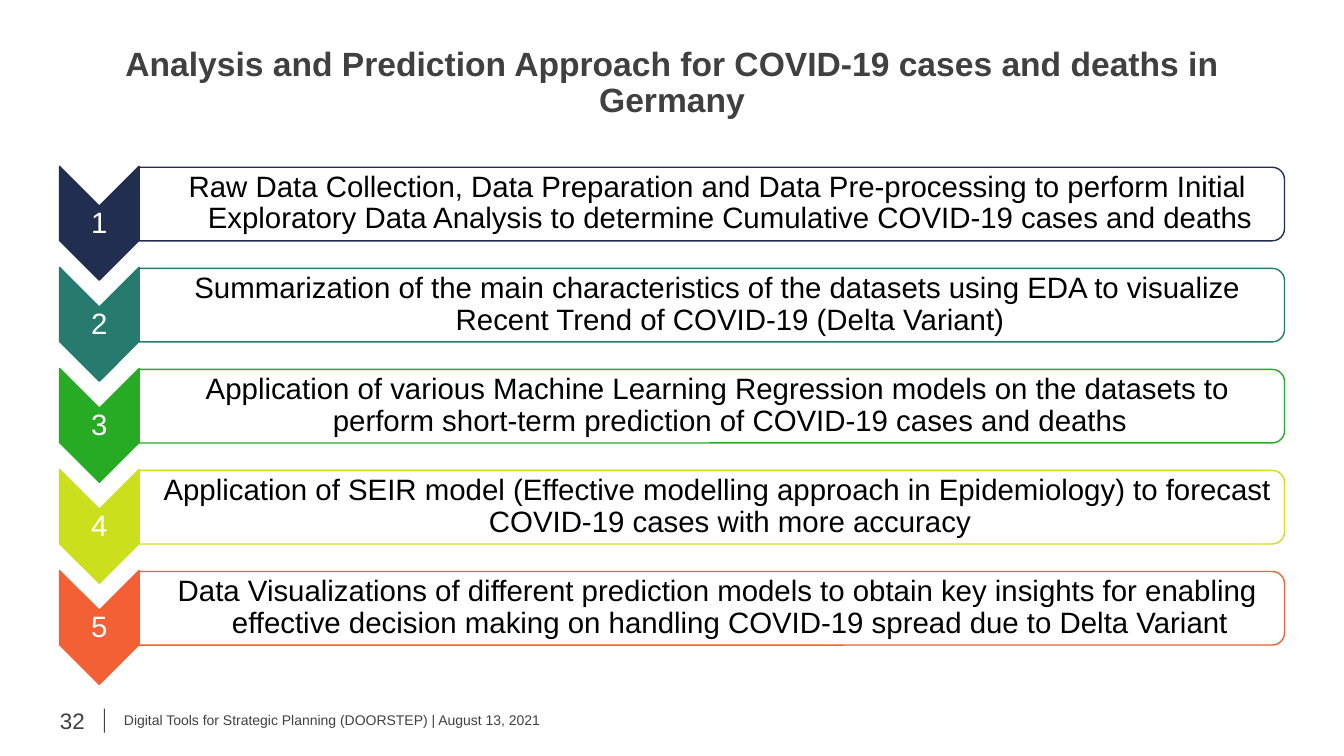
from pptx import Presentation
from pptx.dml.color import RGBColor
from pptx.enum.shapes import MSO_SHAPE
from pptx.enum.text import MSO_ANCHOR, MSO_AUTO_SIZE, PP_ALIGN
from pptx.oxml.ns import qn
from pptx.util import Inches, Pt
from lxml.etree import SubElement

GREY = "404040"
WHITE = "FFFFFF"
TITLE = "Analysis and Prediction Approach for COVID-19 cases and deaths in Germany"
FOOTER = "Digital Tools for Strategic Planning (DOORSTEP) | August 13, 2021"
STEPS = [
    ("222E50", "Raw Data Collection, Data Preparation and Data Pre-processing to perform Initial "
               "Exploratory Data Analysis to determine Cumulative COVID-19 cases and deaths"),
    ("267A6E", "Summarization of the main characteristics of the datasets using EDA to visualize "
               "Recent Trend of COVID-19 (Delta Variant)"),
    ("27AA24", "Application of various Machine Learning Regression models on the datasets to "
               "perform short-term prediction of COVID-19 cases and deaths"),
    ("CCDF1D", "Application of SEIR model (Effective modelling approach in Epidemiology) to "
               "forecast COVID-19 cases with more accuracy"),
    ("F46036", "Data Visualizations of different prediction models to obtain key insights for "
               "enabling effective decision making on handling COVID-19 spread due to Delta Variant"),
]


def rgb(color):
    """Turn a hex string into a colour."""
    return RGBColor.from_string(color)


def set_all(target, formats):
    """Set each format value on the target."""
    for key, value in formats.items():
        setattr(target, key, value)


def write(holder, text, size, color, align=PP_ALIGN.LEFT, spacing=1.0, bold=False,
          anchor=MSO_ANCHOR.MIDDLE, inset=0, left_inset=None):
    """Fill a text holder with one formatted paragraph and return it."""
    frame = holder.text_frame
    set_all(frame, {
        "word_wrap": True, "auto_size": MSO_AUTO_SIZE.NONE, "vertical_anchor": anchor,
        "margin_left": Inches(inset if left_inset is None else left_inset),
        "margin_right": Inches(inset), "margin_top": Inches(inset),
        "margin_bottom": Inches(inset),
    })
    paragraph = frame.paragraphs[0]
    set_all(paragraph, {"alignment": align, "line_spacing": spacing})
    run = paragraph.add_run()
    run.text = text
    set_all(run.font, {"name": "Arial", "size": Pt(size), "bold": bold})
    run.font.color.rgb = rgb(color)
    return paragraph


def add_text(slide, box, text, size, color, **formats):
    """Add a text box and return its paragraph."""
    return write(slide.shapes.add_textbox(*map(Inches, box)), text, size, color, **formats)


def add_turned(slide, kind, box, fill, line):
    """Add a shape turned by 90 degrees that covers the given box."""
    left, top, width, height = box
    shift = (width - height) / 2
    shape = slide.shapes.add_shape(
        kind, *map(Inches, (left + shift, top - shift, height, width)))
    shape.rotation = 90
    shape.shadow.inherit = False
    shape.fill.solid()
    shape.fill.fore_color.rgb = rgb(fill)
    shape.line.color.rgb = rgb(line)
    shape.line.width = Pt(1)
    return shape


def add_title(slide, box):
    """Place the slide title."""
    title = slide.shapes.title
    set_all(title, dict(zip(("left", "top", "width", "height"), map(Inches, box))))
    write(title, TITLE, 24, GREY, align=PP_ALIGN.CENTER, spacing=0.9, bold=True,
          anchor=MSO_ANCHOR.TOP)


def add_step(slide, box, number, color, description):
    """Draw one numbered chevron and its outlined description bar."""
    left, top, width, height = box
    chevron_width, bar_height = 0.79, 0.73
    bar_left = left + chevron_width
    bar_width = width - chevron_width
    centred = {"align": PP_ALIGN.CENTER, "spacing": 0.9, "inset": 0.01}

    add_turned(slide, MSO_SHAPE.CHEVRON, (left, top, chevron_width, height), color, color)
    add_text(slide, (left, top + 0.4, chevron_width, 0.34), str(number), 21, WHITE, **centred)

    bar = add_turned(slide, MSO_SHAPE.ROUND_2_SAME_RECTANGLE,
                     (bar_left, top + 0.01, bar_width, bar_height), WHITE, color)
    fill_color = bar.fill._xPr.find(qn("a:solidFill"))[0]
    SubElement(fill_color, qn("a:alpha")).set("val", "90000")
    paragraph = add_text(slide, (bar_left, top + 0.04, bar_width - 0.04, 0.66),
                         description, 21, "000000", left_inset=0.16, **centred)
    properties = paragraph._p.get_or_add_pPr()
    properties.set("marL", str(Inches(0.25)))
    properties.set("indent", str(Inches(-0.25)))


def add_steps(slide, box):
    """Stack the steps evenly in the box."""
    left, top, width, height = box
    step_height = 1.13
    pitch = (height - step_height) / (len(STEPS) - 1)
    for index, (color, description) in enumerate(STEPS):
        add_step(slide, (left, top + index * pitch, width, step_height),
                 index + 1, color, description)


def add_footer(slide, box):
    """Place the page number, divider and footer text."""
    left, top, width, height = box
    divider = slide.shapes.add_shape(
        MSO_SHAPE.RECTANGLE, *map(Inches, (left + 0.44, top + 0.04, 0.01, 0.24)))
    divider.shadow.inherit = False
    divider.fill.solid()
    divider.fill.fore_color.rgb = rgb(GREY)
    divider.line.fill.background()
    add_text(slide, (left + 0.64, top, width - 0.64, height), FOOTER, 10, GREY)
    add_text(slide, (left, top, 0.25, height), "32", 16, GREY, align=PP_ALIGN.RIGHT)


def main():
    """Build and save the slide."""
    deck = Presentation()
    set_all(deck, {"slide_width": Inches(13.33), "slide_height": Inches(7.5)})
    slide = deck.slides.add_slide(deck.slide_layouts[5])
    add_title(slide, (0.59, 0.47, 12.15, 0.8))
    add_steps(slide, (0.59, 1.65, 12.15, 5.14))
    add_footer(slide, (0.59, 6.99, 6.07, 0.31))
    deck.save("out.pptx")


if __name__ == "__main__":
    main()
